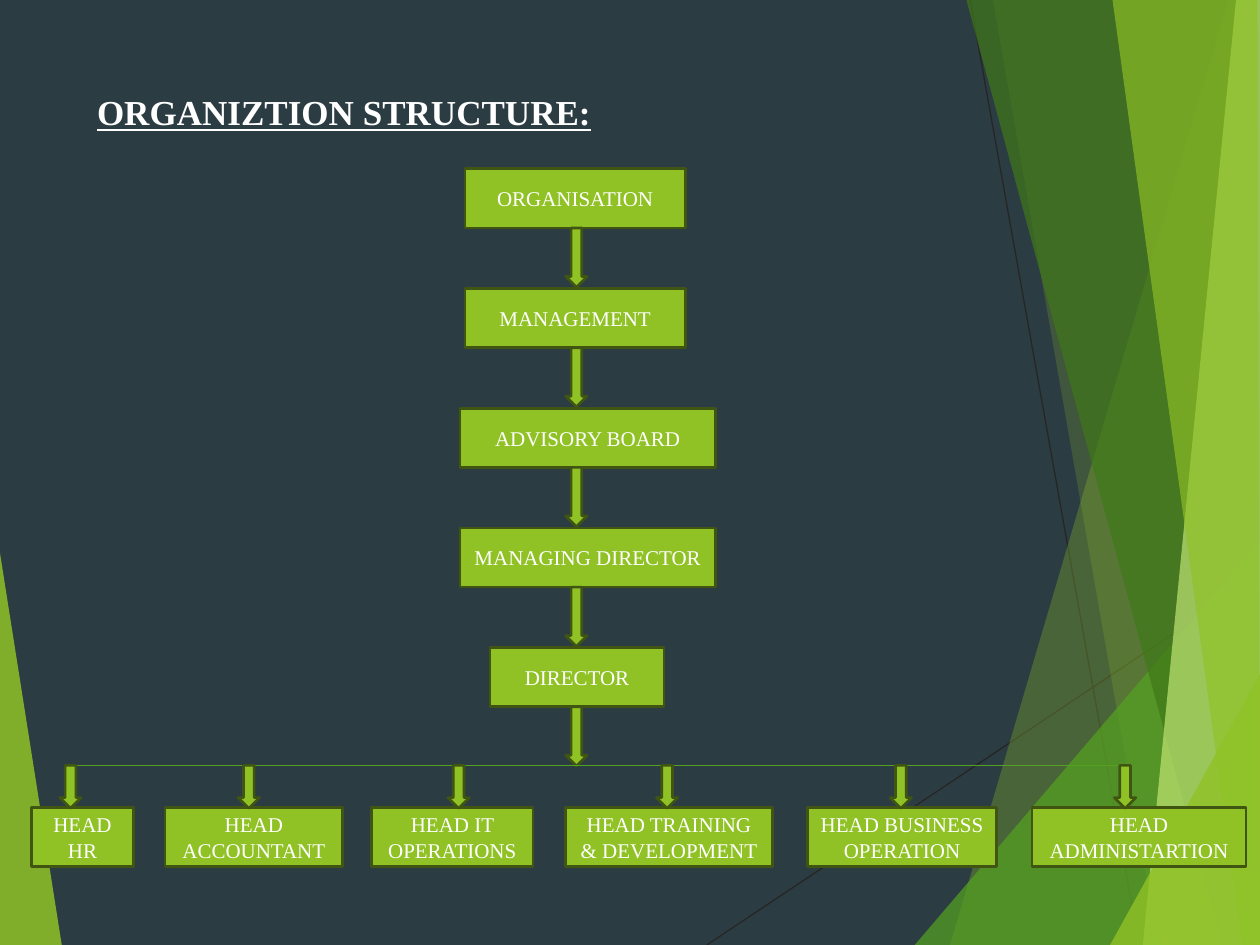
"""Build the organisation structure slide: a chain of command above a row of heads."""
from lxml.etree import SubElement
from pptx import Presentation
from pptx.dml.color import RGBColor
from pptx.enum.shapes import MSO_CONNECTOR as Connector, MSO_SHAPE as Shape
from pptx.enum.text import MSO_ANCHOR as Anchor, MSO_AUTO_SIZE as AutoSize, PP_ALIGN as Align
from pptx.oxml.ns import qn
from pptx.util import Inches, Pt

COLUMNS, ROWS = 100, 75
FONT = "Times New Roman"
NIGHT, WHITE, CHARCOAL = "2C3C43", "FFFFFF", "262626"
LIME, OLIVE, GREEN, FOREST, PALE = "90C226", "3F5511", "54A021", "3F7819", "C0E474"
BOX_HEIGHT, ARROW_WIDTH = 4.7, 1.7
STAGE_TOP, STAGE_PITCH, STAGE_AXIS = 13.4, 9.5, 45.75
BAR_ROW, HEAD_ROW = 60.75, 64.1

RAYS = [((56.1, 75), (100, 45.7)), ((77, 0), (90.4, 75))]
FACETS = [
    (LIME, 85, [(0, 43.9), (4.9, 75), (0, 75)]),
    (LIME, 30, [(97.5, 0), (75.4, 75), (100, 75), (100, 0)]),
    (LIME, 20, [(78.8, 0), (91.9, 75), (100, 75), (100, 0)]),
    (GREEN, 72, [(72.6, 75), (100, 42.9), (100, 75)]),
    (FOREST, 70, [(76.7, 0), (97, 75), (100, 75), (100, 0)]),
    (PALE, 70, [(98.1, 0), (90.7, 75), (100, 75), (100, 0)]),
    (LIME, 65, [(88.3, 0), (98.6, 75), (100, 75), (99.8, 0)]),
    (LIME, 80, [(88.1, 75), (100, 53.5), (100, 75)]),
]
STAGES = [
    ("ORGANISATION", 36.9, 17.5),
    ("MANAGEMENT", 36.9, 17.5),
    ("ADVISORY BOARD", 36.5, 20.3),
    ("MANAGING DIRECTOR", 36.5, 20.3),
    ("DIRECTOR", 38.9, 13.8),
]
HEADS = [
    ("HEAD HR", 2.5, 8.1, 5.6),
    ("HEAD ACCOUNTANT", 13.1, 14.1, 19.75),
    ("HEAD IT OPERATIONS", 29.5, 12.8, 36.4),
    ("HEAD TRAINING & DEVELOPMENT", 44.9, 16.4, 52.95),
    ("HEAD BUSINESS OPERATION", 64.1, 15, 71.5),
    ("HEAD ADMINISTARTION", 81.9, 17, 89.3),
]


def color(value):
    return RGBColor.from_string(value)


def write(frame, text, size=12, bold=False, underline=False, align=Align.CENTER, anchor=Anchor.MIDDLE):
    frame.word_wrap = True
    frame.auto_size = AutoSize.NONE
    frame.vertical_anchor = anchor
    para = frame.paragraphs[0]
    para.alignment = align
    span = para.add_run()
    span.text = text
    font = span.font
    font.name, font.size = FONT, Pt(size)
    font.bold, font.underline = bold, underline
    font.color.rgb = color(WHITE)


class Page:
    def __init__(self, deck):
        self.slide = deck.slides.add_slide(deck.slide_layouts[5])
        self.shapes = self.slide.shapes
        self.column = deck.slide_width / COLUMNS
        self.row = deck.slide_height / ROWS
        fill = self.slide.background.fill
        fill.solid()
        fill.fore_color.rgb = color(NIGHT)

    def point(self, x, y):
        return round(x * self.column), round(y * self.row)

    def paint(self, shape, fill, outline=None):
        shape.shadow.inherit = False
        shape.fill.solid()
        shape.fill.fore_color.rgb = color(fill)
        if outline:
            shape.line.color.rgb = color(outline)
            shape.line.width = Pt(1.5)
        else:
            shape.line.fill.background()

    def title(self, text, x, y, width, height):
        title = self.shapes.title
        title.left, title.top = self.point(x, y)
        title.width, title.height = self.point(width, height)
        write(title.text_frame, text, size=20, bold=True, underline=True, align=Align.LEFT, anchor=Anchor.TOP)

    def facet(self, fill, opacity, corners):
        start, *others = [self.point(*corner) for corner in corners]
        builder = self.shapes.build_freeform(*start)
        builder.add_line_segments(others)
        facet = builder.convert_to_shape()
        self.paint(facet, fill)
        tint = facet.fill._xPr.find(f".//{qn('a:srgbClr')}")
        SubElement(tint, qn("a:alpha"), val=str(opacity * 1000))

    def line(self, start, end, stroke, weight):
        line = self.shapes.add_connector(Connector.STRAIGHT, *self.point(*start), *self.point(*end))
        line.line.color.rgb = color(stroke)
        line.line.width = Pt(weight)
        SubElement(line._element.spPr, qn("a:effectLst"))

    def block(self, kind, x, y, width, height):
        block = self.shapes.add_shape(kind, *self.point(x, y), *self.point(width, height))
        self.paint(block, LIME, OLIVE)
        return block

    def box(self, text, x, y, width):
        write(self.block(Shape.RECTANGLE, x, y, width, BOX_HEIGHT).text_frame, text)

    def arrow(self, axis, top, height):
        self.block(Shape.DOWN_ARROW, axis - ARROW_WIDTH / 2, top, ARROW_WIDTH, height)


def main():
    deck = Presentation()
    deck.slide_width, deck.slide_height = Inches(10), Inches(7.5)
    page = Page(deck)
    for start, end in RAYS:
        page.line(start, end, CHARCOAL, 0.75)
    for facet in FACETS:
        page.facet(*facet)
    page.title("ORGANIZTION STRUCTURE:", 6.7, 6.7, 43.3, 6.4)
    for index, (name, x, width) in enumerate(STAGES):
        top = STAGE_TOP + index * STAGE_PITCH
        page.box(name, x, top, width)
        page.arrow(STAGE_AXIS, top + BOX_HEIGHT, BOX_HEIGHT)
    for name, x, width, _ in HEADS:
        page.box(name, x, HEAD_ROW, width)
    page.line((HEADS[0][-1], BAR_ROW), (HEADS[-1][-1], BAR_ROW), GREEN, 1)
    for *_, axis in HEADS:
        page.arrow(axis, BAR_ROW, 3.4)
    deck.save("out.pptx")


if __name__ == "__main__":
    main()
